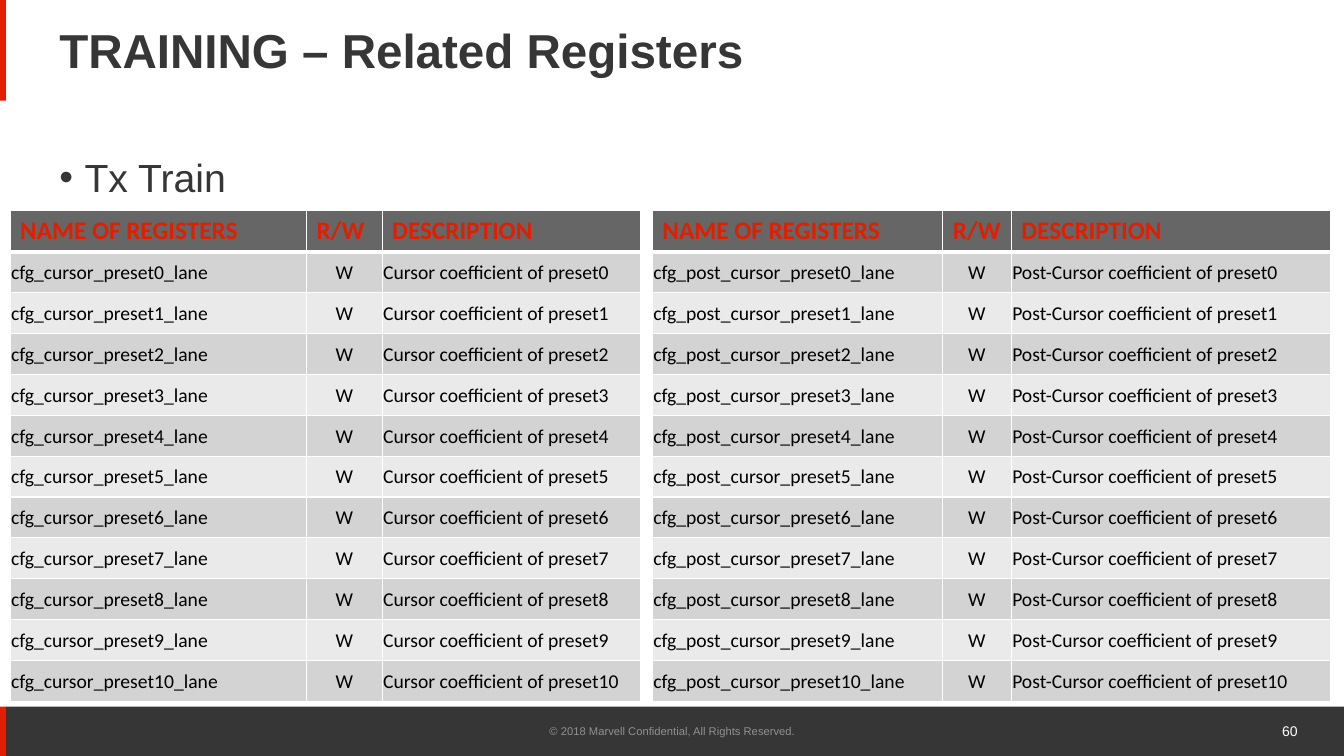
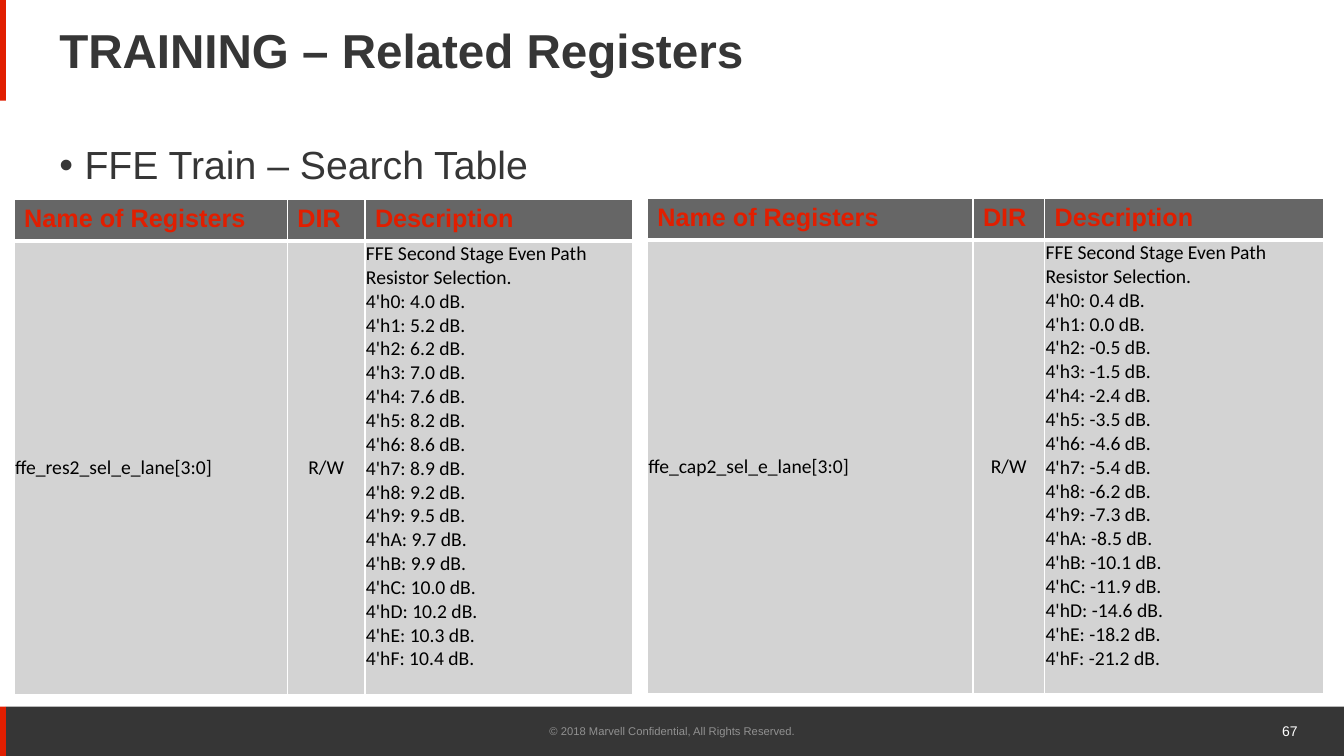
from pptx import Presentation
from pptx import util as u
from pptx.dml import color
from pptx.enum import shapes, text
from pptx.oxml import ns
from lxml import etree

RED = color.RGBColor(0xE1, 0x1E, 0x00)
CHARCOAL = color.RGBColor(0x36, 0x36, 0x36)
HEADER_GREY = color.RGBColor(0x66, 0x66, 0x66)
FOOTER_GREY = color.RGBColor(0x91, 0x91, 0x91)
BAND_DARK = color.RGBColor(0xD3, 0xD3, 0xD3)
BAND_LIGHT = color.RGBColor(0xEA, 0xEA, 0xEA)
WHITE = color.RGBColor(0xFF, 0xFF, 0xFF)
BLACK = color.RGBColor(0x00, 0x00, 0x00)

SANS = "Arial"
TABLE_FONT = "Calibri"
SLIDE_WIDTH, SLIDE_HEIGHT = 13.33, 7.5
BAND_TOP = 7.01
ACCENT_WIDTH = 0.06
HEADER_HEIGHT = 0.41
LEFT, CENTER, RIGHT = text.PP_ALIGN.LEFT, text.PP_ALIGN.CENTER, text.PP_ALIGN.RIGHT
TOP, MIDDLE = text.MSO_ANCHOR.TOP, text.MSO_ANCHOR.MIDDLE


def inches(box):
    return [u.Inches(length) for length in box]


def add_run(paragraph, words, size, font_name, rgb, bold=False):
    run = paragraph.add_run()
    run.text = words
    run.font.size = u.Pt(size)
    run.font.name = font_name
    run.font.bold = bold
    run.font.color.rgb = rgb


def add_band(slide, box, rgb):
    band = slide.shapes.add_shape(shapes.MSO_SHAPE.RECTANGLE, *inches(box))
    band.shadow.inherit = False
    band.fill.solid()
    band.fill.fore_color.rgb = rgb
    band.line.fill.background()


def add_text(slide, box, words, size, rgb, align=LEFT, anchor=MIDDLE, bold=False):
    frame = slide.shapes.add_textbox(*inches(box)).text_frame
    frame.word_wrap = True
    frame.vertical_anchor = anchor
    paragraph = frame.paragraphs[0]
    paragraph.alignment = align
    add_run(paragraph, words, size, SANS, rgb, bold)
    return paragraph


def add_bullet(slide, box, words):
    paragraph = add_text(slide, box, words, 28, CHARCOAL, anchor=TOP)
    paragraph.line_spacing = 0.9
    properties = paragraph._p.get_or_add_pPr()
    properties.set("marL", str(u.Inches(0.25)))
    properties.set("indent", str(-u.Inches(0.25)))
    etree.SubElement(properties, ns.qn("a:buFont"), typeface=SANS)
    etree.SubElement(properties, ns.qn("a:buChar"), char="•")


def add_frame(presentation, title, number):
    """New slide with the title, accents and footer that all slides share."""
    slide = presentation.slides.add_slide(presentation.slide_layouts[6])
    band_height = SLIDE_HEIGHT - BAND_TOP
    add_band(slide, (ACCENT_WIDTH, BAND_TOP, SLIDE_WIDTH - ACCENT_WIDTH, band_height), CHARCOAL)
    add_band(slide, (0, BAND_TOP, ACCENT_WIDTH, band_height), RED)
    add_band(slide, (0, 0, ACCENT_WIDTH, 1), RED)
    heading = add_text(slide, (0.49, 0.17, 11.5, 0.72), title, 34, CHARCOAL, bold=True)
    heading.line_spacing = 0.9
    add_text(slide, (4.42, 7.05, 4.5, 0.4),
             "© 2018 Marvell Confidential, All Rights Reserved.", 8, FOOTER_GREY, CENTER)
    add_text(slide, (10.21, 7.05, 2.76, 0.4), str(number), 10, WHITE, RIGHT)
    return slide


def set_borders(cell, top, bottom):
    properties = cell._tc.get_or_add_tcPr()
    sides = (("a:lnL", 1), ("a:lnR", 1), ("a:lnT", top), ("a:lnB", bottom))
    for position, (side, points) in enumerate(sides):
        line = etree.Element(ns.qn(side), w=str(u.Pt(points)))
        fill = etree.SubElement(line, ns.qn("a:solidFill"))
        etree.SubElement(fill, ns.qn("a:srgbClr"), val=str(WHITE))
        properties.insert(position, line)


def fill_cell(cell, rgb):
    cell.fill.solid()
    cell.fill.fore_color.rgb = rgb


def fill_header_cell(cell, words, font_name):
    fill_cell(cell, HEADER_GREY)
    cell.margin_right = u.Inches(0.05)
    add_run(cell.text_frame.paragraphs[0], words, 18, font_name, RED, True)
    set_borders(cell, 1, 3)


def fill_body_cell(cell, lines, row, align):
    fill_cell(cell, BAND_DARK if row % 2 else BAND_LIGHT)
    cell.margin_left = cell.margin_right = cell.margin_top = u.Inches(0.01)
    cell.margin_bottom = 0
    cell.vertical_anchor = TOP if len(lines) > 1 else MIDDLE
    frame = cell.text_frame
    for index, words in enumerate(lines):
        paragraph = frame.add_paragraph() if index else frame.paragraphs[0]
        paragraph.alignment = align
        add_run(paragraph, words, 14, TABLE_FONT, BLACK)
    set_borders(cell, 3 if row == 1 else 1, 1)


def add_register_table(slide, left, top, height, widths, headers, header_font, records):
    """Each record holds one list of lines for each column."""
    box = inches((left, top, sum(widths), height))
    table = slide.shapes.add_table(len(records) + 1, len(widths), *box).table
    table.first_row = table.horz_banding = False
    for column, width in zip(table.columns, widths):
        column.width = u.Inches(width)
    for index, row in enumerate(table.rows):
        row_height = (height - HEADER_HEIGHT) / len(records) if index else HEADER_HEIGHT
        row.height = u.Inches(row_height)
    for column, words in enumerate(headers):
        fill_header_cell(table.cell(0, column), words, header_font)
    for row, record in enumerate(records, 1):
        for column, lines in enumerate(record):
            fill_body_cell(table.cell(row, column), lines, row, CENTER if column == 1 else LEFT)


def preset_records(register, label):
    return [([f"cfg_{register}_preset{n}_lane"], ["W"], [f"{label} coefficient of preset{n}"])
            for n in range(11)]


def gain_record(register, gains):
    steps = [f"4'h{code:X}: {gain} dB." for code, gain in enumerate(gains.split())]
    return [register], ["R/W"], ["FFE Second Stage Even Path Resistor Selection."] + steps


def build_tx_train(presentation):
    slide = add_frame(presentation, "TRAINING – Related Registers", 60)
    add_bullet(slide, (0.49, 1.52, 2.42, 0.55), "Tx Train")
    headers = ("NAME OF REGISTERS", "R/W", "DESCRIPTION")
    for left, widths, register, label in (
            (0.1, (2.94, 0.75, 2.56), "cursor", "Cursor"),
            (6.47, (2.88, 0.68, 3.17), "post_cursor", "Post-Cursor")):
        add_register_table(slide, left, 2.09, 4.87, widths, headers, TABLE_FONT,
                           preset_records(register, label))


def build_ffe_train(presentation):
    slide = add_frame(presentation, "TRAINING – Related Registers", 67)
    add_bullet(slide, (0.49, 1.4, 5.79, 0.6), "FFE Train – Search Table")
    headers = ("Name of Registers", "DIR", "Description")
    for left, top, widths, register, gains in (
            (0.14, 1.98, (2.71, 0.77, 2.65), "ffe_res2_sel_e_lane[3:0]",
             "4.0 5.2 6.2 7.0 7.6 8.2 8.6 8.9 9.2 9.5 9.7 9.9 10.0 10.2 10.3 10.4"),
            (6.42, 1.97, (3.23, 0.71, 2.77), "ffe_cap2_sel_e_lane[3:0]",
             "0.4 0.0 -0.5 -1.5 -2.4 -3.5 -4.6 -5.4 -6.2 -7.3 -8.5 -10.1 -11.9 "
             "-14.6 -18.2 -21.2")):
        add_register_table(slide, left, top, 4.91, widths, headers, SANS,
                           [gain_record(register, gains)])


def main():
    presentation = Presentation()
    presentation.slide_width = u.Inches(SLIDE_WIDTH)
    presentation.slide_height = u.Inches(SLIDE_HEIGHT)
    build_tx_train(presentation)
    build_ffe_train(presentation)
    presentation.save("out.pptx")


if __name__ == "__main__":
    main()
